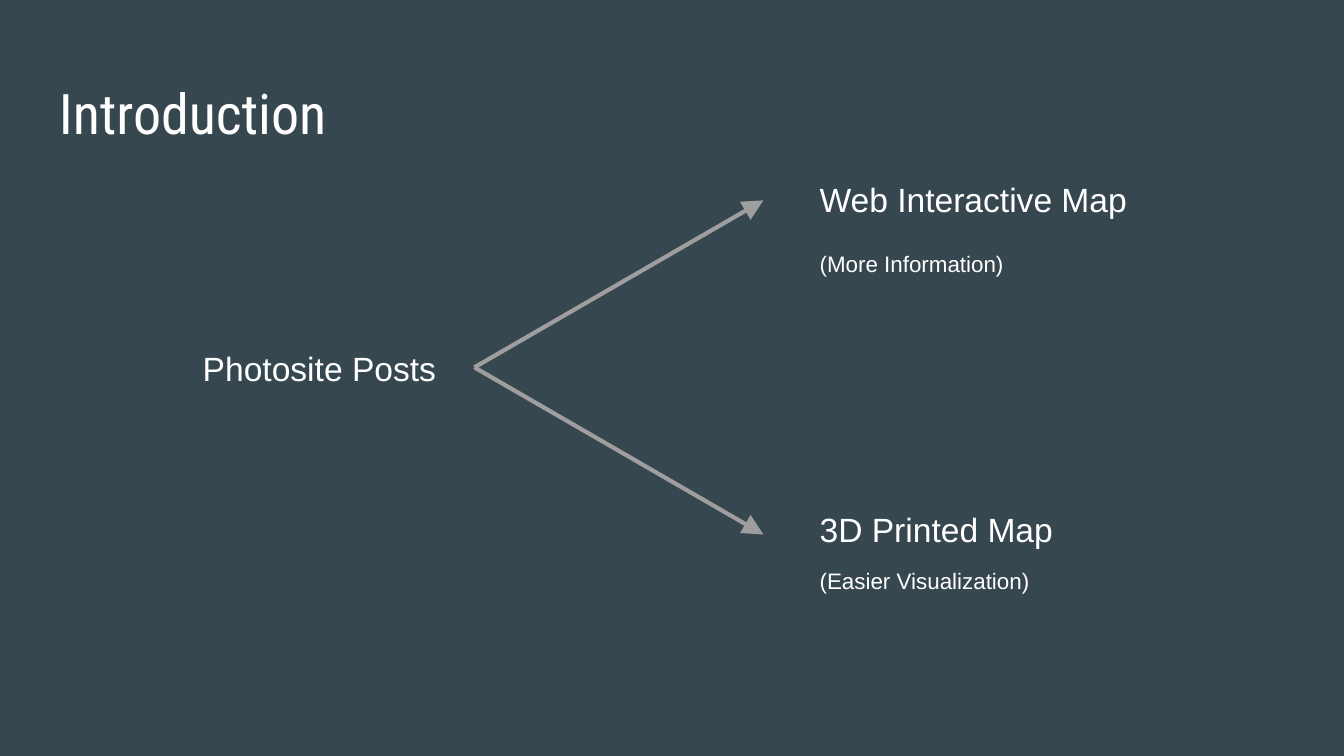
from lxml import etree
from pptx import Presentation
from pptx.dml.color import RGBColor
from pptx.enum.shapes import MSO_CONNECTOR
from pptx.enum.text import MSO_ANCHOR
from pptx.oxml.ns import qn
from pptx.util import Inches, Pt

STRAIGHT = MSO_CONNECTOR.STRAIGHT
TOP = MSO_ANCHOR.TOP
WIDTH = 10
HEIGHT = WIDTH * 9 / 16
BACKGROUND, WHITE, GREY = "37474F", "FFFFFF", "9E9E9E"

# Shares of the slide's size, in percent
LABEL_HEIGHT = 8.7
OUTCOME_LEFT = 60
FORK_X, FORK_Y = 35.3, 48.6
ARROW_WIDTH, ARROW_RISE = 21.5, 22.1

# heading, its top and width, note, its top and width
OUTCOMES = [
    ("Web Interactive Map", 21.9, 26, "(More Information)", 31.3, 16.9),
    ("3D Printed Map", 65.6, 26, "(Easier Visualization)", 73.3, 21.1),
]


def color(hex_string):
    return RGBColor.from_string(hex_string)


def x(share):
    return Inches(WIDTH * share / 100)


def y(share):
    return Inches(HEIGHT * share / 100)


def add_text(slide, text, left, top, width, height=LABEL_HEIGHT, size=18, font="Arial"):
    sp = slide.shapes.add_textbox(x(left), y(top), x(width), y(height))
    tf = sp.text_frame
    tf.word_wrap = True
    tf.vertical_anchor = TOP
    tf.margin_left = tf.margin_right = tf.margin_top = tf.margin_bottom = Inches(0.1)
    p = tf.paragraphs[0]
    p.text = text
    p.font.size = Pt(size)
    p.font.name = font
    p.font.color.rgb = color(WHITE)


def add_arrow(slide, drop):
    """Draw an arrow from the fork, ending the given share below it."""
    cxn = slide.shapes.add_connector(
        STRAIGHT, x(FORK_X), y(FORK_Y), x(FORK_X + ARROW_WIDTH), y(FORK_Y + drop))
    cxn.line.color.rgb = color(GREY)
    cxn.line.width = Pt(2.25)
    sp_pr = cxn._element.spPr
    etree.SubElement(sp_pr.find(qn("a:ln")), qn("a:tailEnd"),
                     type="triangle", w="lg", len="lg")
    etree.SubElement(sp_pr, qn("a:effectLst"))


def main():
    prs = Presentation()
    prs.slide_width, prs.slide_height = Inches(WIDTH), Inches(HEIGHT)
    slide = prs.slides.add_slide(prs.slide_layouts[6])
    fill = slide.background.fill
    fill.solid()
    fill.fore_color.rgb = color(BACKGROUND)

    add_text(slide, "Introduction", 3.4, 8.65, 93.2, 11.2, 30, "Roboto Condensed")
    add_text(slide, "Photosite Posts", 14.1, 44.3, 21.1)
    for drop in (ARROW_RISE, -ARROW_RISE):
        add_arrow(slide, drop)
    for heading, top, width, note, note_top, note_width in OUTCOMES:
        add_text(slide, heading, OUTCOME_LEFT, top, width)
        add_text(slide, note, OUTCOME_LEFT, note_top, note_width, size=12)

    prs.save("out.pptx")


if __name__ == "__main__":
    main()
